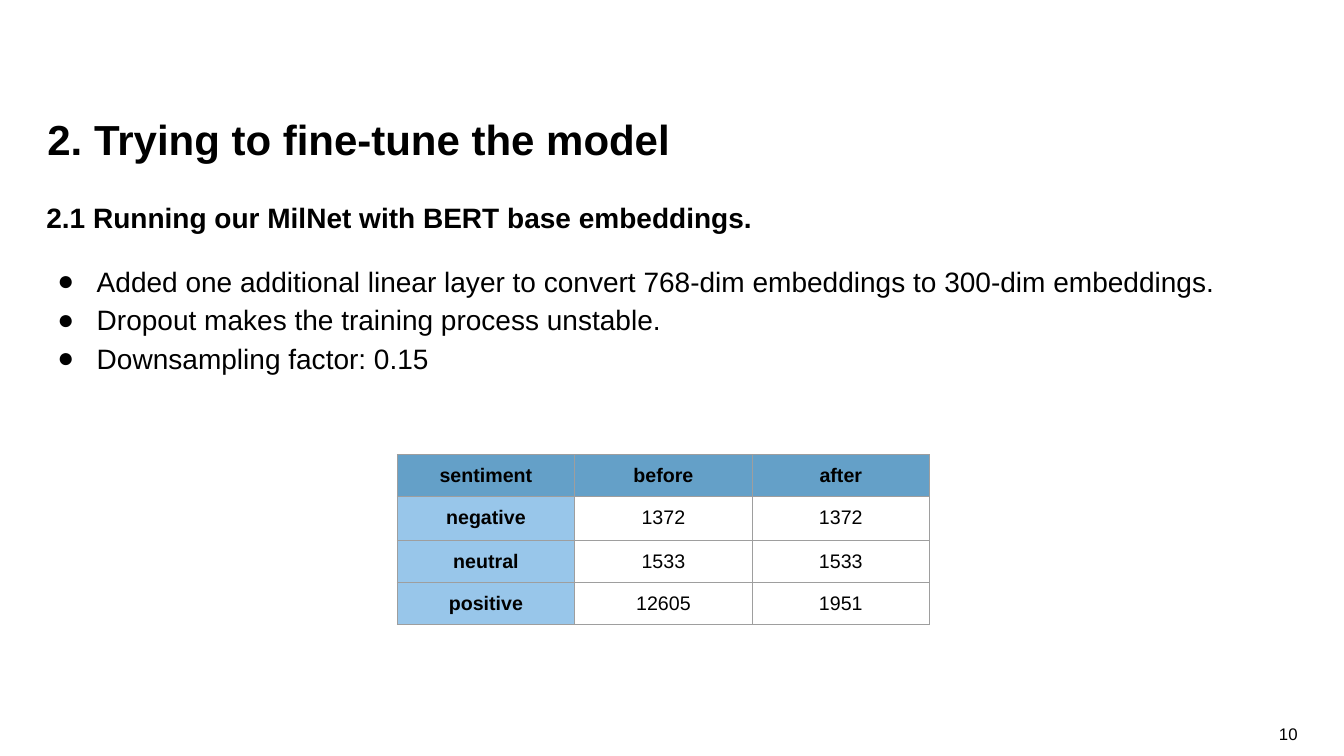
import pptx
import pptx.dml.color
import pptx.enum.text
import pptx.oxml
import pptx.oxml.ns
import pptx.util
from dataclasses import dataclass


@dataclass(frozen=True)
class Theme:
    font: str = "Arial"
    text: str = "000000"
    header: str = "64A0C8"
    label: str = "98C6EA"
    border: str = "9E9E9E"
    title_size: int = 30
    body_size: int = 20
    table_size: int = 14
    number_size: int = 12


PX = 9144
theme = Theme()
ALIGN = pptx.enum.text.PP_ALIGN
ANCHOR = pptx.enum.text.MSO_ANCHOR
NS = pptx.oxml.ns.nsdecls("a")


def write(p, text, size, bold=False, align=ALIGN.LEFT, spacing=1.0):
    p.text = text
    p.alignment = align
    p.line_spacing = spacing
    p.space_before = pptx.util.Pt(0)
    font = p.runs[0].font
    font.name = theme.font
    font.size = pptx.util.Pt(size)
    font.bold = bold
    font.color.rgb = pptx.dml.color.RGBColor.from_string(theme.text)


def frame(sp, left, top, width, height, anchor=ANCHOR.TOP):
    sp.left, sp.top, sp.width, sp.height = (v * PX for v in (left, top, width, height))
    tf = sp.text_frame
    tf.word_wrap = True
    tf.auto_size = pptx.enum.text.MSO_AUTO_SIZE.NONE
    tf.vertical_anchor = anchor
    tf.margin_left = tf.margin_right = tf.margin_top = tf.margin_bottom = 0
    return tf


prs = pptx.Presentation()
prs.slide_width = 1333 * PX
prs.slide_height = 750 * PX
s = prs.slides.add_slide(prs.slide_layouts[5])

tf = frame(s.shapes.title, 47, 109, 1241, 45)
write(tf.paragraphs[0], "2. Trying to fine-tune the model", theme.title_size, True, spacing=1.07)

tf = frame(s.shapes.add_textbox(0, 0, 0, 0), 46, 194, 1183, 200)
write(tf.paragraphs[0], "2.1 Running our MilNet with BERT base embeddings.",
      theme.body_size, True, ALIGN.JUSTIFY, 1.14)

bullets = [
    "Added one additional linear layer to convert 768-dim embeddings to 300-dim embeddings.",
    "Dropout makes the training process unstable.",
    "Downsampling factor: 0.15",
]
for i, text in enumerate(bullets):
    p = tf.add_paragraph()
    write(p, text, theme.body_size, spacing=1.15)
    if i == 0:
        p.space_before = pptx.util.Pt(18)
    pPr = p._p.get_or_add_pPr()
    pPr.set("marL", str(50 * PX))
    pPr.set("indent", str(-39 * PX))
    for xml in (
        f'<a:buClr {NS}><a:srgbClr val="{theme.text}"/></a:buClr>',
        f'<a:buFont {NS} typeface="{theme.font}"/>',
        f'<a:buChar {NS} char="●"/>',
    ):
        pPr.append(pptx.oxml.parse_xml(xml))

rows = [
    ("sentiment", "before", "after"),
    ("negative", "1372", "1372"),
    ("neutral", "1533", "1533"),
    ("positive", "12605", "1951"),
]
row_heights = (42, 43, 42, 42)
col_width = 176
table = s.shapes.add_table(len(rows), 3, 394 * PX, 451 * PX,
                           3 * col_width * PX, sum(row_heights) * PX).table
for col in table.columns:
    col.width = col_width * PX
for r, (values, height) in enumerate(zip(rows, row_heights)):
    table.rows[r].height = height * PX
    for c, value in enumerate(values):
        cell = table.cell(r, c)
        write(cell.text_frame.paragraphs[0], value, theme.table_size,
              r == 0 or c == 0, ALIGN.CENTER)
        cell.margin_left = cell.margin_right = 10 * PX
        cell.margin_top = cell.margin_bottom = 10 * PX
        if r == 0 or c == 0:
            cell.fill.solid()
            color = theme.header if r == 0 else theme.label
            cell.fill.fore_color.rgb = pptx.dml.color.RGBColor.from_string(color)
        else:
            cell.fill.background()
        tcPr = cell._tc.get_or_add_tcPr()
        for i, side in enumerate(("lnL", "lnR", "lnT", "lnB")):
            tcPr.insert(i, pptx.oxml.parse_xml(
                f'<a:{side} {NS} w="{pptx.util.Pt(0.75)}"><a:solidFill>'
                f'<a:srgbClr val="{theme.border}"/></a:solidFill></a:{side}>'))

tf = frame(s.shapes.add_textbox(0, 0, 0, 0), 988, 708, 299, 40, ANCHOR.MIDDLE)
write(tf.paragraphs[0], "10", theme.number_size, align=ALIGN.RIGHT)

prs.save("out.pptx")
